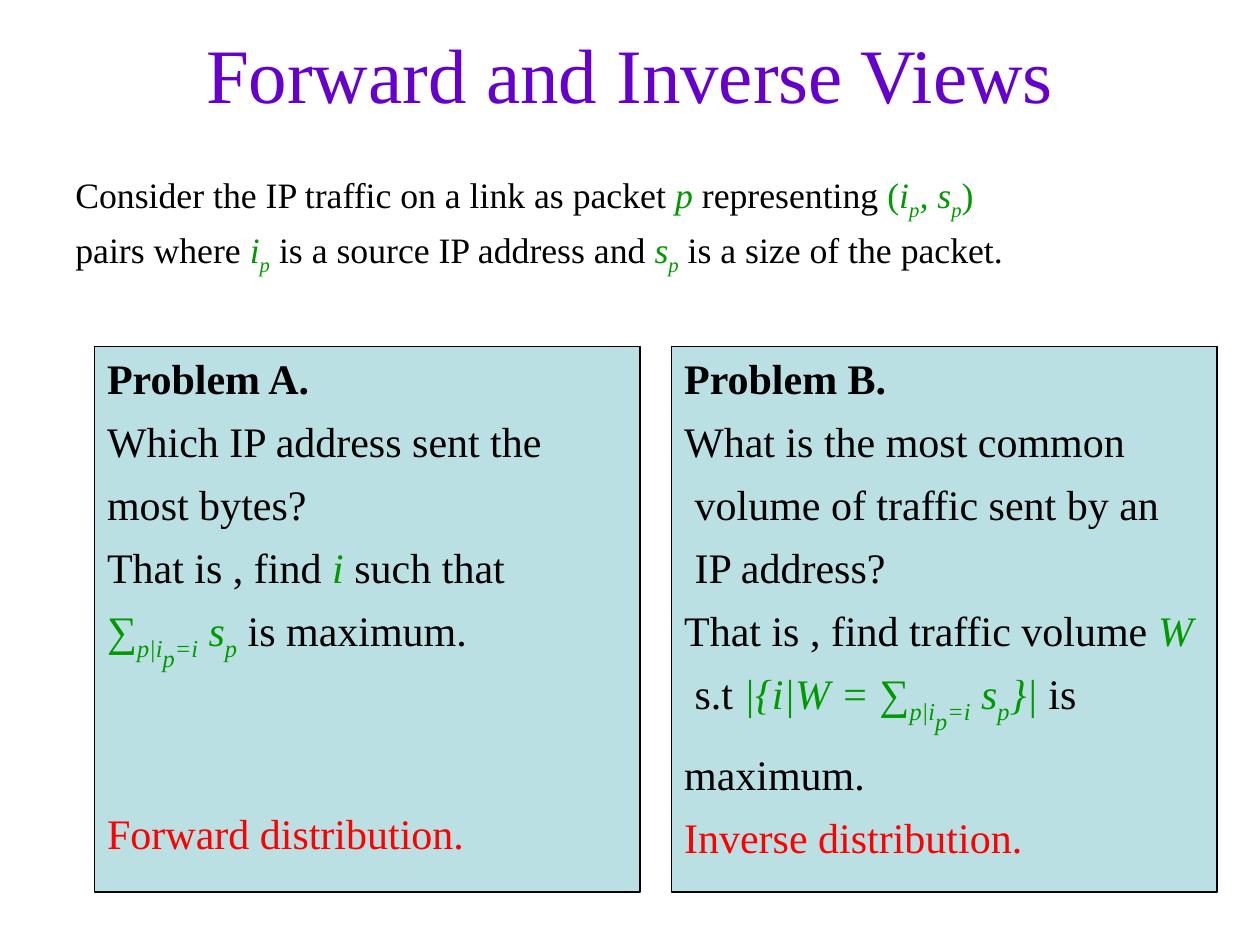
from dataclasses import dataclass

from lxml import etree
from pptx import Presentation
from pptx import util as u
from pptx.dml.color import RGBColor
from pptx.enum import text
from pptx.oxml.ns import qn


@dataclass(frozen=True)
class Theme:
    font: str = "Times New Roman"
    title_color: RGBColor = RGBColor(0x66, 0x00, 0xCC)
    ink: RGBColor = RGBColor(0x00, 0x00, 0x00)
    math: RGBColor = RGBColor(0x00, 0x99, 0x00)
    accent: RGBColor = RGBColor(0xFF, 0x00, 0x00)
    panel: RGBColor = RGBColor(0xBB, 0xE0, 0xE3)
    title_size: float = 44
    panel_size: float = 24
    intro_size: float = 20.4


@dataclass(frozen=True)
class Math:
    """A formula fragment; baseline is a percentage below the line."""
    wording: str
    baseline: int = 0
    italic: bool = True


@dataclass(frozen=True)
class Line:
    fragments: tuple
    bold: bool = False
    accent: bool = False
    before: float = 7.2


class SlideBuilder:
    def __init__(self, slide, theme):
        self.slide = slide
        self.theme = theme

    def place(self, shape, left, top, width, height):
        shape.left, shape.top = u.Inches(left), u.Inches(top)
        shape.width, shape.height = u.Inches(width), u.Inches(height)

    def format_frame(self, frame, anchor):
        frame.word_wrap = True
        frame.auto_size = text.MSO_AUTO_SIZE.NONE
        frame.vertical_anchor = anchor

    def set_font(self, font, size, color):
        font.name = self.theme.font
        font.size = u.Pt(size)
        font.color.rgb = color

    def add_run(self, paragraph, fragment):
        run = paragraph.add_run()
        if isinstance(fragment, Math):
            run.text = fragment.wording
            run.font.italic = fragment.italic
            run.font.color.rgb = self.theme.math
            if fragment.baseline:
                properties = run._r.get_or_add_rPr()
                properties.set("baseline", str(-1000 * fragment.baseline))
        else:
            run.text = fragment

    def write_lines(self, frame, lines, size, spacing=None):
        for index, line in enumerate(lines):
            paragraph = frame.add_paragraph() if index else frame.paragraphs[0]
            paragraph.alignment = text.PP_ALIGN.LEFT
            paragraph.space_before = u.Pt(line.before)
            paragraph.line_spacing = spacing
            color = self.theme.accent if line.accent else self.theme.ink
            self.set_font(paragraph.font, size, color)
            paragraph.font.bold = line.bold
            # Hanging indent without a bullet
            properties = paragraph._p.get_or_add_pPr()
            properties.set("marL", str(u.Inches(0.38)))
            properties.set("indent", str(-u.Inches(0.38)))
            bullet = etree.Element(qn("a:buNone"))
            properties.find(qn("a:defRPr")).addprevious(bullet)
            for fragment in line.fragments:
                self.add_run(paragraph, fragment)

    def title(self, wording, *box):
        shape = self.slide.shapes.title
        self.place(shape, *box)
        self.format_frame(shape.text_frame, text.MSO_ANCHOR.MIDDLE)
        shape.text_frame.text = wording
        paragraph = shape.text_frame.paragraphs[0]
        paragraph.alignment = text.PP_ALIGN.CENTER
        self.set_font(paragraph.font, self.theme.title_size,
                      self.theme.title_color)

    def panel(self, placeholder_index, lines, *box):
        shape = self.slide.placeholders[placeholder_index]
        self.place(shape, *box)
        shape.fill.solid()
        shape.fill.fore_color.rgb = self.theme.panel
        shape.line.color.rgb = self.theme.ink
        shape.line.width = u.Pt(0.75)
        self.format_frame(shape.text_frame, text.MSO_ANCHOR.TOP)
        self.write_lines(shape.text_frame, lines, self.theme.panel_size)

    def text_box(self, lines, *box):
        shape = self.slide.shapes.add_textbox(*(u.Inches(n) for n in box))
        self.format_frame(shape.text_frame, text.MSO_ANCHOR.TOP)
        self.write_lines(shape.text_frame, lines, self.theme.intro_size, 0.9)


def main():
    presentation = Presentation()
    presentation.slide_width = u.Inches(10)
    presentation.slide_height = u.Inches(7.5)
    slide = presentation.slides.add_slide(presentation.slide_layouts[3])
    builder = SlideBuilder(slide, Theme())

    # Formula fragments shared by the texts
    sub_p = Math("p", 25)
    source_sum = (Math("p|i", 25), Math("p", 50), Math("=i", 25),
                  Math(" s"), sub_p)

    builder.title("Forward and Inverse Views", 0.5, 0.08, 9, 1)

    # The two problems side by side
    problem_a = [
        Line(("Problem A.",), bold=True),
        Line(("Which IP address sent the",)),
        Line(("most bytes?",)),
        Line(("That is , find ", Math("i "), "such that")),
        Line((Math("∑"), *source_sum, " is maximum.")),
        Line(("Forward distribution.",), accent=True, before=76.8),
    ]
    problem_b = [
        Line(("Problem B.",), bold=True),
        Line(("What is the most common",)),
        Line((" volume of traffic sent by an",)),
        Line((" IP address?",)),
        Line(("That is , find traffic volume ", Math("W"))),
        Line((" s.t ", Math("|{i|W = ∑"), *source_sum, Math("}|"), " is")),
        Line(("maximum.",)),
        Line(("Inverse distribution.",), accent=True),
    ]
    panel_side, panel_gap = 4.33, 0.25
    for column, lines in enumerate((problem_a, problem_b)):
        left = 0.75 + column * (panel_side + panel_gap)
        builder.panel(column + 1, lines, left, 2.75, panel_side, panel_side)

    # Setting of both problems
    builder.text_box([
        Line(("Consider the IP traffic on a link as packet ", Math("p"),
              " representing ", Math("(", italic=False), Math("i"), sub_p,
              Math(", s"), sub_p, Math(")", italic=False)), before=6),
        Line(("pairs where ", Math("i"), sub_p,
              " is a source IP address and ", Math("s"), sub_p,
              " is a size of the packet."), before=6),
    ], 0.5, 1.33, 9.17, 1)

    presentation.save("out.pptx")


if __name__ == "__main__":
    main()
